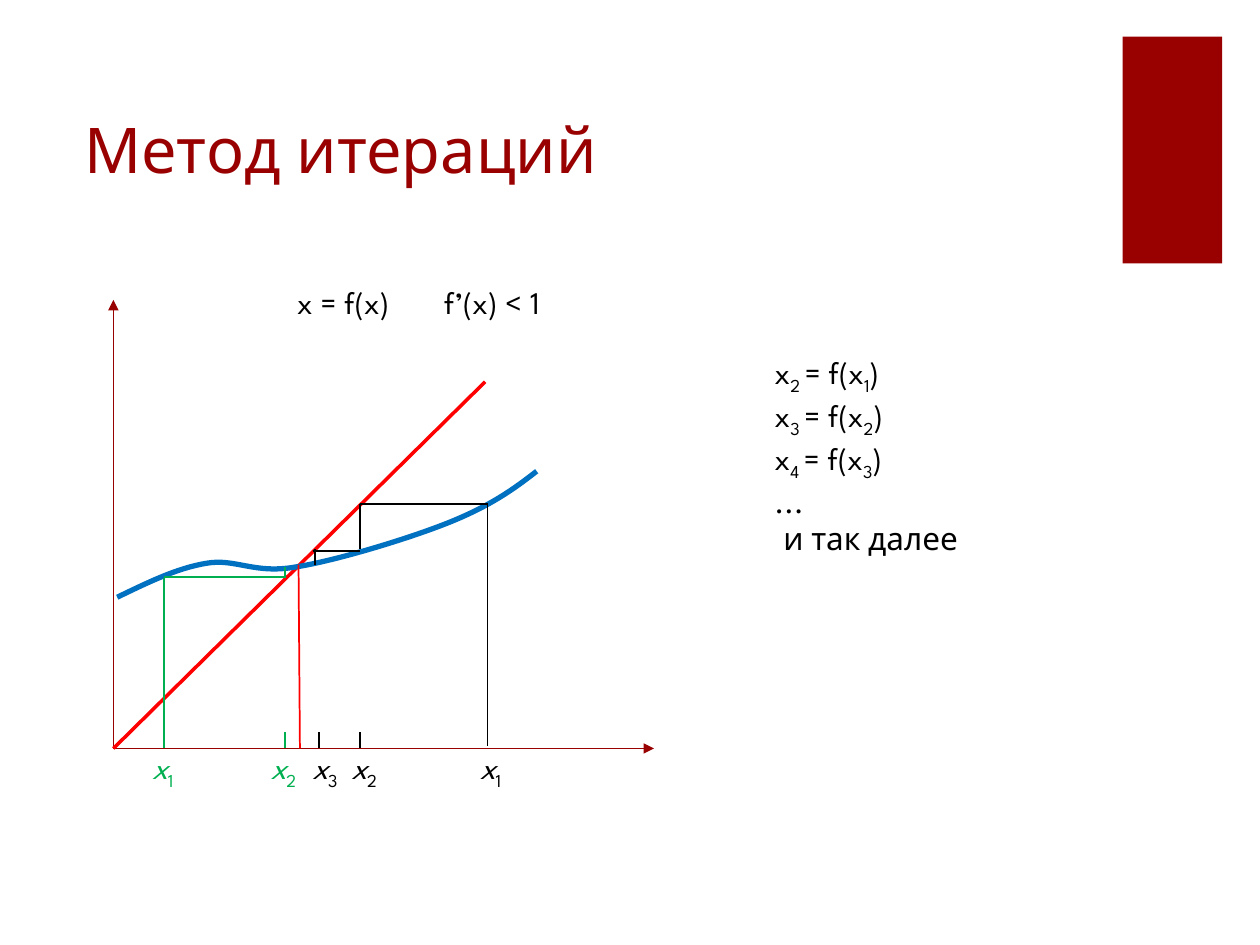
from lxml import etree
from pptx import Presentation
from pptx.dml.color import RGBColor
from pptx.enum import shapes, text
from pptx.oxml import ns
from pptx.util import Pt

FONT = "League Spartan"
DARK_RED = RGBColor(0x99, 0x00, 0x00)
RED = RGBColor(0xFF, 0x00, 0x00)
BLUE = RGBColor(0x00, 0x70, 0xC0)
GREEN = RGBColor(0x00, 0xB0, 0x50)
BLACK = RGBColor(0x00, 0x00, 0x00)


def write(p, parts, size=18, color=BLACK, italic=False):
    """Fill a paragraph; every second part is a subscript."""
    for i, part in enumerate(parts):
        r = p.add_run()
        r.text = part
        r.font.name, r.font.size = FONT, Pt(size)
        r.font.color.rgb = color
        if i % 2:
            r.font._element.set("baseline", "-25000")
        elif italic:
            r.font.italic = True


def add_text(slide, box, rows, wrap=False, **fmt):
    tf = slide.shapes.add_textbox(*map(Pt, box)).text_frame
    tf.word_wrap = wrap
    tf.auto_size = text.MSO_AUTO_SIZE.SHAPE_TO_FIT_TEXT
    for i, parts in enumerate(rows):
        p = tf.add_paragraph() if i else tf.paragraphs[0]
        write(p, parts, **fmt)
    return tf


def add_line(slide, start, end, color, width=1, arrow=False):
    s = slide.shapes.add_connector(
        shapes.MSO_CONNECTOR.STRAIGHT, *map(Pt, start + end))
    s.line.color.rgb, s.line.width = color, Pt(width)
    if arrow:
        etree.SubElement(s.line._get_or_add_ln(), ns.qn("a:tailEnd"), type="triangle")
    etree.SubElement(s._element.spPr, ns.qn("a:effectLst"))


def add_curve(slide, points, color, width):
    """Draw a start point followed by cubic Bezier triples."""
    emu = [(Pt(x), Pt(y)) for x, y in points]
    builder = slide.shapes.build_freeform(*emu[0])
    builder.add_line_segments(emu[1:], close=False)
    s = builder.convert_to_shape()
    s.shadow.inherit = False
    s.fill.background()
    s.line.color.rgb, s.line.width = color, Pt(width)
    path = next(s._element.iter(ns.qn("a:path")))
    segments = path.findall(ns.qn("a:lnTo"))
    for i in range(0, len(segments), 3):
        cubic = etree.SubElement(path, ns.qn("a:cubicBezTo"))
        for segment in segments[i:i + 3]:
            cubic.append(segment[0])
            path.remove(segment)


def add_title(slide, box, caption):
    title = slide.shapes.title
    title.left, title.top, title.width, title.height = map(Pt, box)
    tf = title.text_frame
    tf.auto_size = text.MSO_AUTO_SIZE.NONE
    tf.vertical_anchor = text.MSO_ANCHOR.BOTTOM
    tf.paragraphs[0].alignment = text.PP_ALIGN.LEFT
    write(tf.paragraphs[0], [caption], size=36, color=DARK_RED)


def add_accent(slide, box):
    s = slide.shapes.add_shape(shapes.MSO_SHAPE.RECTANGLE, *map(Pt, box))
    s.shadow.inherit = False
    s.fill.solid()
    s.fill.fore_color.rgb = DARK_RED
    s.line.fill.background()


def add_plot(slide, box):
    left, top, width, height = box

    def at(x, y):
        return left + x, top + height - y

    def line(x1, y1, x2, y2, color, **fmt):
        add_line(slide, at(x1, y1), at(x2, y2), color, **fmt)

    # Axes and the line y = x
    line(0, 0, 0, height, DARK_RED, arrow=True)
    line(0, 0, width, 0, DARK_RED, arrow=True)
    line(0, 0, 212.4, 209.5, RED, width=2)

    # Curve y = f(x)
    curve = [(2.2, 86.4),
             (18.7, 94.3), (36, 103), (53.3, 105.8),
             (69.8, 108.7), (80.6, 99.4), (104.4, 103.7),
             (127.4, 107.3), (169.9, 120.2), (193, 129.6),
             (216, 139), (229, 148.3), (241.9, 158.4)]
    add_curve(slide, [at(x, y) for x, y in curve], BLUE, 3)

    # Iteration steps from the right, from the left, and the root
    for step in [(213.8, 1.4, 213.8, 139), (141.1, 139.7, 213.8, 139.7),
                 (141.1, 139.7, 141.1, 113.8), (113.8, 113, 141.1, 113),
                 (115.2, 113.8, 115.2, 105.1)]:
        line(*step, BLACK)
    for step in [(28.8, 0, 28.8, 97.2), (28.8, 97.9, 97.9, 97.9),
                 (97.9, 97.2, 97.9, 103.7)]:
        line(*step, GREEN)
    line(106.6, 0, 105.8, 105.1, RED)

    # Ticks and labels on the x axis
    for x, color in [(97.9, GREEN), (117.4, BLACK), (141.1, BLACK)]:
        line(x, 0, x, 9.4, color)
    for x, index, color in [(202.3, "1", BLACK), (128.9, "2", BLACK),
                            (106.6, "3", BLACK), (15.1, "1", GREEN),
                            (82.8, "2", GREEN)]:
        add_text(slide, (*at(x, 3.6), 30.2, 29), [("x", index)],
                 color=color, italic=True)


def add_condition(slide, box):
    tf = add_text(slide, box, [], wrap=True)
    p = tf.paragraphs[0]
    tabs = etree.SubElement(p._p.get_or_add_pPr(), ns.qn("a:tabLst"))
    etree.SubElement(tabs, ns.qn("a:tab"), pos=str(Pt(84)), algn="l")
    write(p, ["x = f(x)\tf’(x) < 1"])


def add_sequence(slide, box):
    rows = [("x", f"{n} ", "= f(x", f"{n - 1}", ")") for n in (2, 3, 4)]
    tf = add_text(slide, box, rows + [("...",), ("и так далее",)])
    tf.paragraphs[-1]._p.get_or_add_pPr().set("marL", str(Pt(5)))


def main():
    prs = Presentation()
    prs.slide_width, prs.slide_height = Pt(720), Pt(540)
    slide = prs.slides.add_slide(prs.slide_layouts[5])
    add_accent(slide, (641.5, 20.9, 56.9, 129.6))
    add_title(slide, (41, 20.2, 512.6, 90), "Метод итераций")
    add_plot(slide, (64.8, 171.4, 308.9, 256.3))
    add_condition(slide, (162.7, 158.4, 172.8, 29))
    add_sequence(slide, (435.6, 198, 126.7, 116.6))
    prs.save("out.pptx")


if __name__ == "__main__":
    main()
